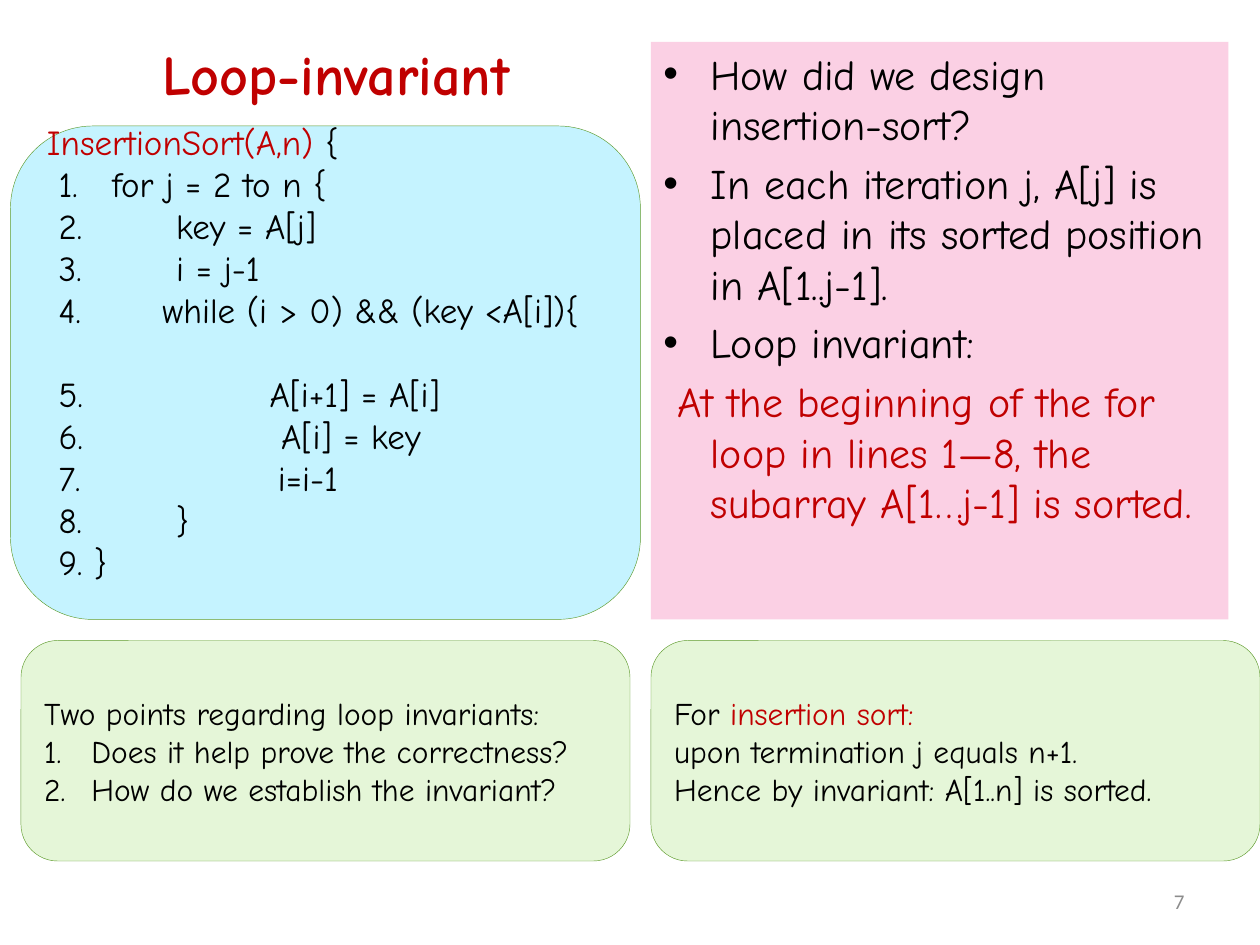
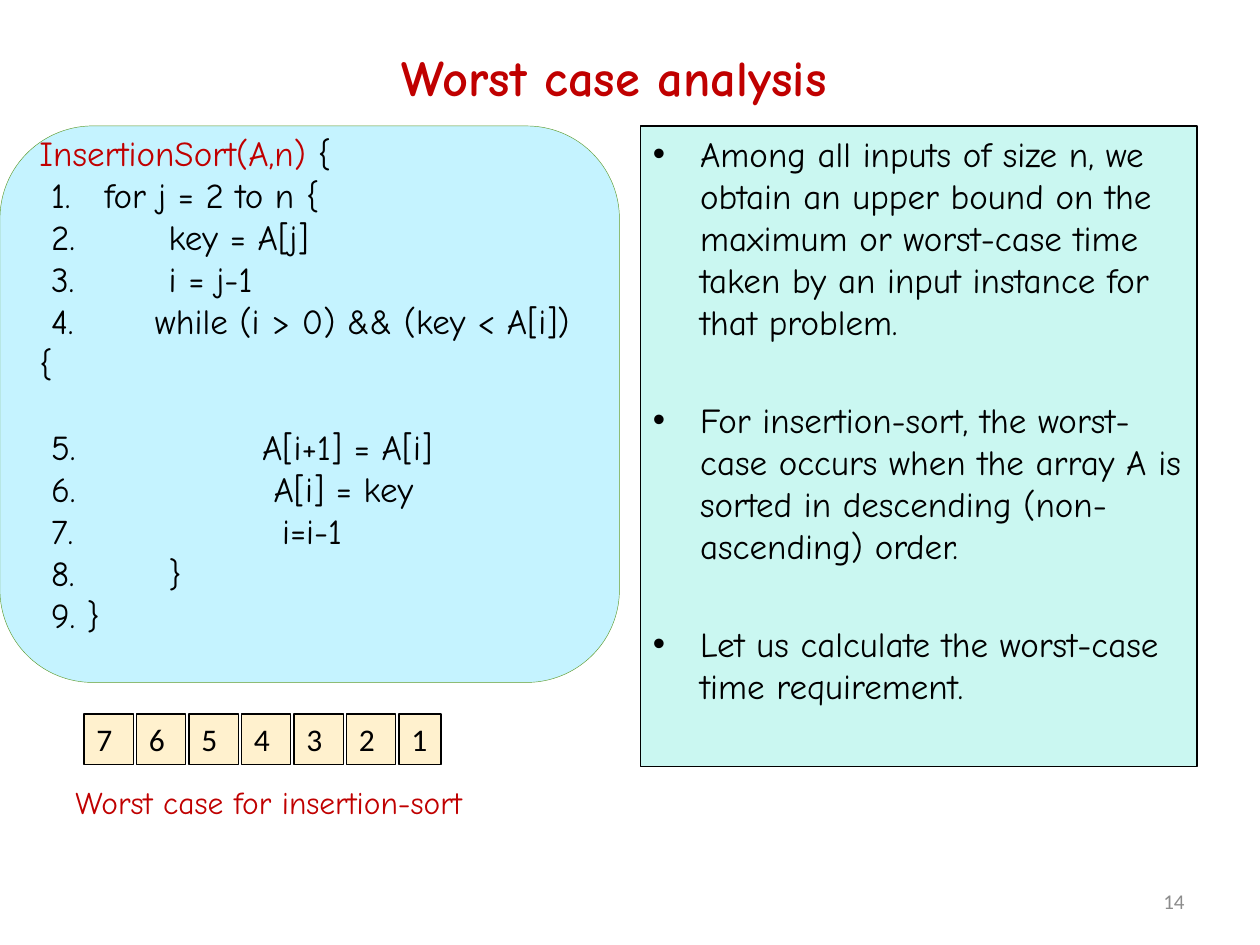
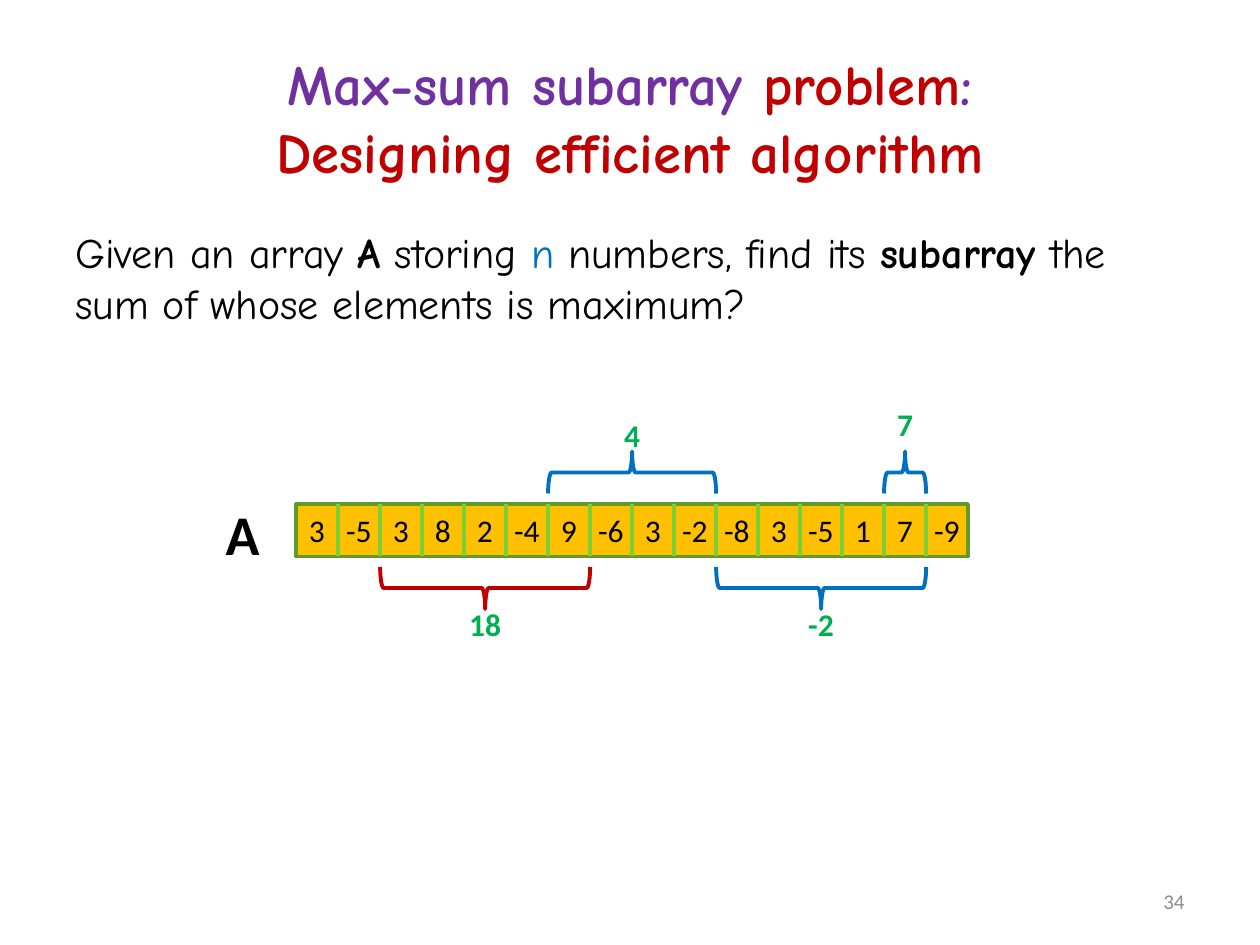
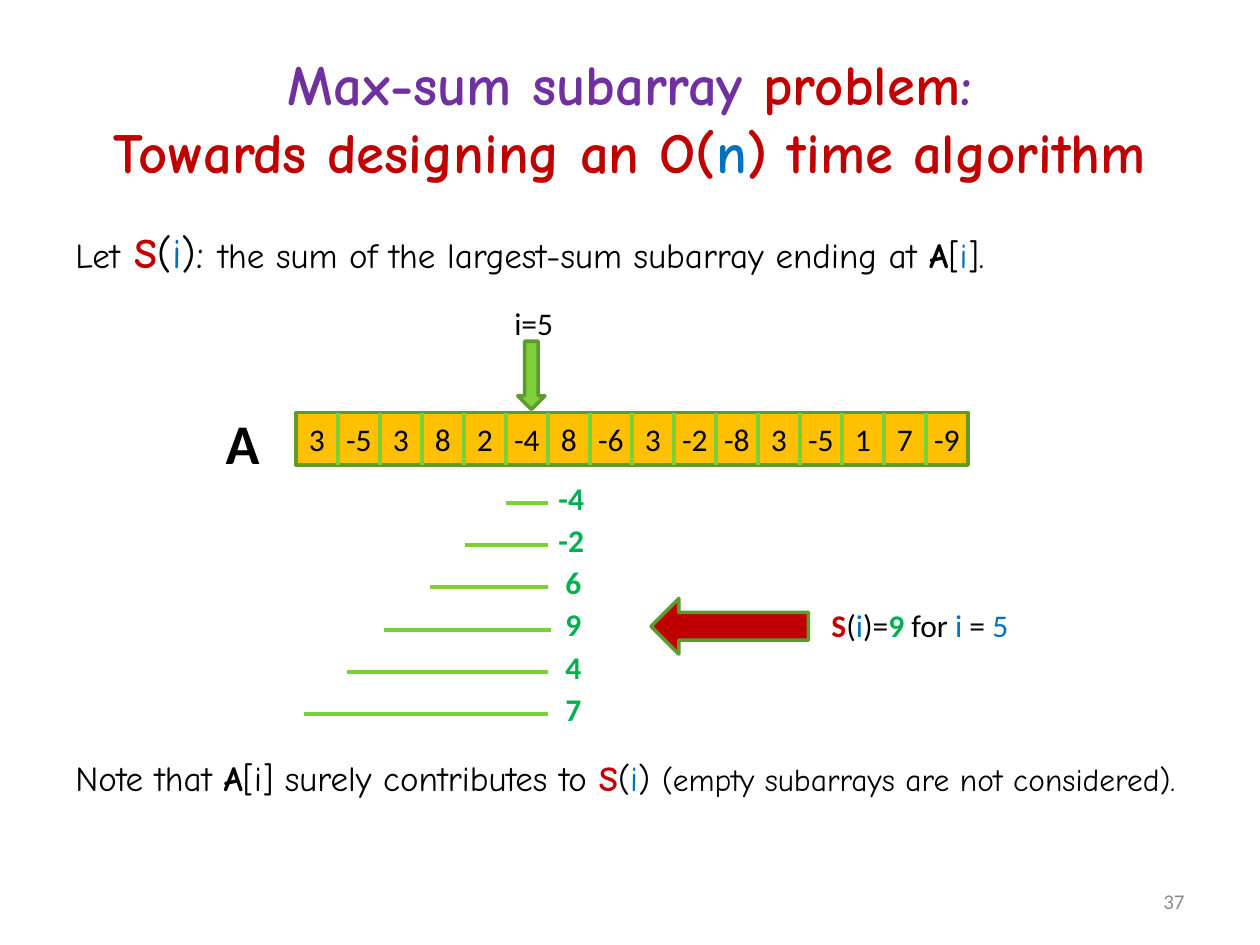
from dataclasses import dataclass
from typing import NamedTuple, Optional

from lxml import etree
from pptx import Presentation
from pptx.dml.color import RGBColor
from pptx.enum.shapes import MSO_CONNECTOR, MSO_SHAPE
from pptx.enum.text import MSO_ANCHOR, PP_ALIGN
from pptx.oxml.ns import qn
from pptx.util import Inches, Pt

RECT, ROUND = MSO_SHAPE.RECTANGLE, MSO_SHAPE.ROUNDED_RECTANGLE
BRACE, UP, BACK = MSO_SHAPE.RIGHT_BRACE, MSO_SHAPE.UP_ARROW, MSO_SHAPE.LEFT_ARROW
STRAIGHT = MSO_CONNECTOR.STRAIGHT
LEFT, MID, RIGHT = PP_ALIGN.LEFT, PP_ALIGN.CENTER, PP_ALIGN.RIGHT
TOP, MIDDLE = MSO_ANCHOR.TOP, MSO_ANCHOR.MIDDLE

BLACK = RGBColor(0x00, 0x00, 0x00)
RED = RGBColor(0xC0, 0x00, 0x00)
PURPLE = RGBColor(0x70, 0x30, 0xA0)
BLUE = RGBColor(0x00, 0x70, 0xC0)
GREEN = RGBColor(0x00, 0xB0, 0x50)
GRAY = RGBColor(0x8C, 0x8C, 0x8C)
LEAF = RGBColor(0x5E, 0x9B, 0x2C)
LIME = RGBColor(0x7C, 0xD0, 0x36)
GRASS = RGBColor(0x7F, 0xD1, 0x3B)
PINK = RGBColor(0xFB, 0xD0, 0xE4)
SKY = RGBColor(0xC5, 0xF3, 0xFF)
MINT = RGBColor(0xE5, 0xF6, 0xD8)
AQUA = RGBColor(0xCA, 0xF7, 0xF1)
CREAM = RGBColor(0xFF, 0xF1, 0xCE)
GOLD = RGBColor(0xFF, 0xC0, 0x00)

COMIC, PLAIN = "Comic Neue", "Calibri"
WIDTH, HEIGHT = Inches(10), Inches(7.5)
COLS = 120
UNIT = WIDTH // COLS
CELL = 4
BAR_LEFT, BAR_ROWS = 28.2, 5
LINE = 4.8
HANG = 4.5


class Box(NamedTuple):
    """A place on the grid: column, row, columns, rows."""
    col: float
    row: float
    cols: float
    rows: float


class Bit(NamedTuple):
    """A stretch of text in one format."""
    text: str
    ink: RGBColor = BLACK
    bold: bool = False
    size: float = 0


class Para(NamedTuple):
    """A paragraph with its spacing in points, its bullet and its tab stops."""
    bits: list[Bit]
    before: float = 0
    after: float = 0
    mark: str = ""
    stops: tuple[float, ...] = ()
    align: str = "l"


@dataclass(frozen=True)
class Look:
    """Font, size and placing of a text."""
    font: str = COMIC
    size: float = 18
    align: int = LEFT
    anchor: int = TOP
    foot: float = 0.6


@dataclass(frozen=True)
class Skin:
    """Fill and outline of a shape."""
    fill: Optional[RGBColor] = None
    line: Optional[RGBColor] = None
    weight: float = 0.75


@dataclass(frozen=True)
class Span:
    """A brace over or under cells of the array, with its sum."""
    first: int
    count: int
    above: bool
    total: str
    row: float
    ink: RGBColor = BLUE


class Step(NamedTuple):
    """A line under the array, with its sum."""
    start: float
    end: float
    total: str


BODY = Look(size=24)
MEDIUM = Look(size=20)
CODE = Look(size=20, anchor=MIDDLE, foot=4.6)
NOTE = Look(anchor=MIDDLE)
LABEL = Look(PLAIN)
SUM = Look(PLAIN, align=MID)
FOLIO = Look(PLAIN, 12, RIGHT, MIDDLE)
PANEL = Skin(SKY, LEAF, 0.25)
CARD = Skin(MINT, LEAF, 0.25)
TILE = Skin(CREAM, BLACK)

deck = Presentation()
deck.slide_width, deck.slide_height = WIDTH, HEIGHT


def grid(*units: float) -> list[int]:
    """Turn grid units into lengths."""
    return [round(unit * UNIT) for unit in units]


def line(text: str, ink: RGBColor = BLACK, bold: bool = False, **more) -> Para:
    """Make a paragraph of one format."""
    return Para([Bit(text, ink, bold)], **more)


def adorn(para, plan: Para) -> None:
    """Add bullet and tab stops to a paragraph."""
    props = para._p.get_or_add_pPr()
    if plan.mark:
        hang = grid(HANG)[0]
        props.set("marL", str(hang))
        props.set("indent", str(-hang))
    if plan.mark == "•":
        etree.SubElement(props, qn("a:buFont"), typeface="Arial")
        etree.SubElement(props, qn("a:buChar"), char=plan.mark)
    elif plan.mark == "1.":
        etree.SubElement(props, qn("a:buAutoNum"), type="arabicPeriod")
    if plan.stops:
        tabs = etree.SubElement(props, qn("a:tabLst"))
        for stop in grid(*plan.stops):
            etree.SubElement(tabs, qn("a:tab"), pos=str(stop), algn=plan.align)


def write(shape, plans: list[Para], look: Look) -> None:
    """Fill a shape with formatted paragraphs."""
    frame = shape.text_frame
    frame.word_wrap = True
    frame.vertical_anchor = look.anchor
    frame.margin_bottom = grid(look.foot)[0]
    for order, plan in enumerate(plans):
        para = frame.add_paragraph() if order else frame.paragraphs[0]
        para.alignment = look.align
        adorn(para, plan)
        para.space_before, para.space_after = Pt(plan.before), Pt(plan.after)
        for bit in plan.bits:
            if bit.text.startswith("\v"):
                para.add_line_break()
            run = para.add_run()
            run.text = bit.text.lstrip("\v")
            font = run.font
            font.name, font.size = look.font, Pt(bit.size or look.size)
            font.bold, font.color.rgb = bit.bold, bit.ink


def put_text(slide, box: Box, plans: list[Para], look: Look) -> None:
    """Place a text box."""
    write(slide.shapes.add_textbox(*grid(*box)), plans, look)


def put_shape(slide, kind: int, box: Box, skin: Skin, plans: list[Para] = (),
              look: Look = BODY, turn: float = 0) -> None:
    """Place a preset shape, with text if there is any."""
    shape = slide.shapes.add_shape(kind, *grid(*box))
    shape.shadow.inherit = False
    shape.rotation = turn
    if skin.fill is None:
        shape.fill.background()
    else:
        shape.fill.solid()
        shape.fill.fore_color.rgb = skin.fill
    if skin.line is None:
        shape.line.fill.background()
    else:
        shape.line.color.rgb = skin.line
        shape.line.width = Pt(skin.weight)
    if plans:
        write(shape, plans, look)


def put_line(slide, col: float, row: float, end: float, foot: float) -> None:
    """Draw a green line."""
    rule = slide.shapes.add_connector(STRAIGHT, *grid(col, row, end, foot))
    rule.line.color.rgb, rule.line.width = LIME, Pt(2.25)
    etree.SubElement(rule._element.spPr, qn("a:effectLst"))


def new_slide(folio: int, box: Box, title: list[Bit], size: float):
    """Start a slide with its title and number."""
    slide = deck.slides.add_slide(deck.slide_layouts[6])
    put_text(slide, box, [Para(title)], Look(size=size, align=MID, anchor=MIDDLE))
    put_text(slide, Box(86, 83.4, 28, LINE), [line(str(folio), GRAY)], FOLIO)
    return slide


def sum_slide(folio: int, rest: list[Bit], plans: list[Para], look: Look):
    """Start a slide on the max-sum problem."""
    title = [Bit("Max-sum subarray ", PURPLE, True), Bit("problem", RED, True),
             Bit(":", PURPLE, True), *rest]
    slide = new_slide(folio, Box(6, 3.6, 108, 15), title, 32.4)
    put_text(slide, Box(6, 21, 108, 59.4), plans, look)
    return slide


def put_code(slide, box: Box, test: str, last: float) -> None:
    """Draw the panel with the sorting code."""
    rows = [("for j = 2 to n {", 6.2), ("key = A[j]", 12.3), ("i = j-1", 12.3),
            (f"while (i > 0) && ({test}){{", 11), ("A[i+1] = A[i]", 21.2),
            ("A[i] = key", 22.3), ("i=i-1", last), ("}", 12.3), ("}", 4.5)]
    plans = [Para([Bit("InsertionSort(A,n)", RED), Bit(" {")])]
    for number, (text, stop) in enumerate(rows, 1):
        plans.append(line(f" {number}.\t{text}", stops=(stop,),
                          after=24 if number == 4 else 0))
    put_shape(slide, ROUND, box, PANEL, plans, CODE)


def put_array(slide, row: float, values: list[int]) -> None:
    """Draw the array A as a bar of cells."""
    count = len(values)
    put_shape(slide, RECT, Box(BAR_LEFT, row, CELL * count, BAR_ROWS),
              Skin(GOLD, LEAF, 2))
    for cell in range(1, count):
        col = BAR_LEFT + CELL * cell
        put_line(slide, col, row, col, row + BAR_ROWS)
    stops = tuple(1 + CELL * cell for cell in range(count))
    text = "".join(f"\t{value}" for value in values)
    put_text(slide, Box(28, row + 0.1, 66, LINE),
             [line(text, stops=stops, align="ctr")], LABEL)
    put_text(slide, Box(20.3, row - 1, 5.6, 7.7), [line("A", bold=True)],
             Look(PLAIN, 32))


def put_span(slide, row: float, span: Span) -> None:
    """Draw a brace and its sum."""
    size = CELL * span.count
    centre = BAR_LEFT + CELL * span.first + size / 2
    middle = row - 3 if span.above else row + 8
    put_shape(slide, BRACE, Box(centre - 2, middle - size / 2, 4, size),
              Skin(line=span.ink, weight=2.25), turn=270 if span.above else 90)
    put_text(slide, Box(centre - 3, span.row, 6, LINE),
             [line(span.total, GREEN, True)], SUM)


def loop_slide() -> None:
    """Build the slide on the loop invariant."""
    slide = new_slide(7, Box(6, 0, 52, 14), [Bit("Loop-invariant", RED, True)], 32)
    points = ["How did we design insertion-sort?",
              "In each iteration j, A[j] is placed in its sorted position in A[1..j-1].",
              "Loop invariant:"]
    plans = [line(point, before=4.8, mark="•") for point in points]
    plans.append(line(" At the beginning of the for loop in lines 1—8, the "
                      "subarray A[1…j-1] is sorted.", RED, before=4.8, mark="none"))
    put_shape(slide, RECT, Box(62, 4, 55, 55), Skin(PINK), plans, BODY)
    put_code(slide, Box(1, 12, 60, 47), "key <A[i]", 22)
    asks = [line("Two points regarding loop invariants:"),
            line("Does it help prove the correctness?", mark="1."),
            line("How do we establish the invariant?", mark="1.")]
    ends = [Para([Bit("For "), Bit("insertion sort:", RED)]),
            line("upon termination j equals n+1."),
            line("Hence by invariant: A[1..n] is sorted.")]
    for col, notes in ((2, asks), (62, ends)):
        put_shape(slide, ROUND, Box(col, 61, 58, 21), CARD, notes, NOTE)


def worst_slide() -> None:
    """Build the slide on the worst case."""
    slide = new_slide(14, Box(6, 3.6, 105, 7.4),
                      [Bit("Worst case analysis", RED, True)], 28.8)
    points = ["Among all inputs of size n, we obtain an upper bound on the maximum "
              "or worst-case time taken by an input instance for that problem.",
              "For insertion-sort, the worst-case occurs when the array A is sorted "
              "in descending (non-ascending) order.",
              "Let us calculate the worst-case time requirement."]
    plans = [line(point, before=32 if order else 4, mark="•")
             for order, point in enumerate(points)]
    put_shape(slide, RECT, Box(61, 12, 53, 61), Skin(AQUA, BLACK), plans, MEDIUM)
    put_code(slide, Box(0, 12, 59, 53), "key < A[i]", 23.1)
    for order, value in enumerate(range(7, 0, -1)):
        put_shape(slide, RECT, Box(8 + 5 * order, 68, 4.7 if value > 1 else 4, LINE),
                  TILE, [line(str(value))], LABEL)
    put_text(slide, Box(6, 74, 44.8, LINE),
             [line("Worst case for insertion-sort", RED)], Look())


def design_slide() -> None:
    """Build the slide that states the max-sum problem."""
    task = [Bit("Given an array "), Bit("A", bold=True), Bit(" storing "),
            Bit("n", BLUE), Bit(" numbers, find its "), Bit("subarray", bold=True),
            Bit(" the sum of whose elements is maximum?")]
    slide = sum_slide(34, [Bit("\vDesigning efficient algorithm", RED, True)],
                      [Para(task, 4.8)], BODY)
    row = 48
    put_array(slide, row, [3, -5, 3, 8, 2, -4, 9, -6, 3, -2, -8, 3, -5, 1, 7, -9])
    for span in (Span(6, 4, True, "4", 39), Span(14, 1, True, "7", 38),
                 Span(10, 5, False, "-2", 57), Span(2, 5, False, "18", 57, RED)):
        put_span(slide, row, span)


def linear_slide() -> None:
    """Build the slide on sums that end at one cell."""
    rest = [Bit("\vTowards designing an O(", RED, True), Bit("n", BLUE, True),
            Bit(") time algorithm", RED, True)]
    given = [Bit("Let"), Bit(" S", RED, True, 24), Bit("(", size=24),
             Bit("i", BLUE, size=24), Bit("): ", size=24),
             Bit("the sum of the largest-sum subarray ending at "),
             Bit("A", bold=True), Bit("["), Bit("i", BLUE), Bit("].")]
    note = [Bit("Note that "), Bit("A", bold=True), Bit("[i] surely contributes to "),
            Bit("S", RED, True), Bit("("), Bit("i", BLUE), Bit(") "),
            Bit("(empty subarrays are not considered).", size=18)]
    slide = sum_slide(37, rest, [Para(given, 4.8), Para(note, 274)], MEDIUM)
    put_array(slide, 39.3, [3, -5, 3, 8, 2, -4, 8, -6, 3, -2, -8, 3, -5, 1, 7, -9])
    put_shape(slide, UP, Box(49.3, 32.5, 2.6, 6.5), Skin(GRASS, LEAF, 2), turn=180)
    put_text(slide, Box(47.8, 28.4, 7, LINE), [line("i=5")], LABEL)
    steps = [Step(48.2, 52.2, "-4"), Step(44.3, 52.2, "-2"), Step(41, 52.2, " 6"),
             Step(36.6, 52.5, " 9"), Step(33, 52.2, " 4"), Step(29, 52.2, " 7")]
    for order, step in enumerate(steps):
        row = 47.9 + 4.02 * order
        put_line(slide, step.start, row, step.end, row)
        put_text(slide, Box(52, row - 2.9, 5.5, LINE),
                 [line(step.total, GREEN, True)], LABEL)
    put_shape(slide, BACK, Box(62, 57, 15, 5.3), Skin(RED, LEAF, 2))
    best = [Bit("S", RED, True), Bit("("), Bit("i", BLUE), Bit(")="),
            Bit("9", GREEN, True), Bit(" for "), Bit("i", BLUE), Bit(" = "),
            Bit("5", BLUE)]
    put_text(slide, Box(78, 57.1, 20, LINE), [Para(best)], LABEL)


loop_slide()
worst_slide()
design_slide()
linear_slide()
deck.save("out.pptx")
